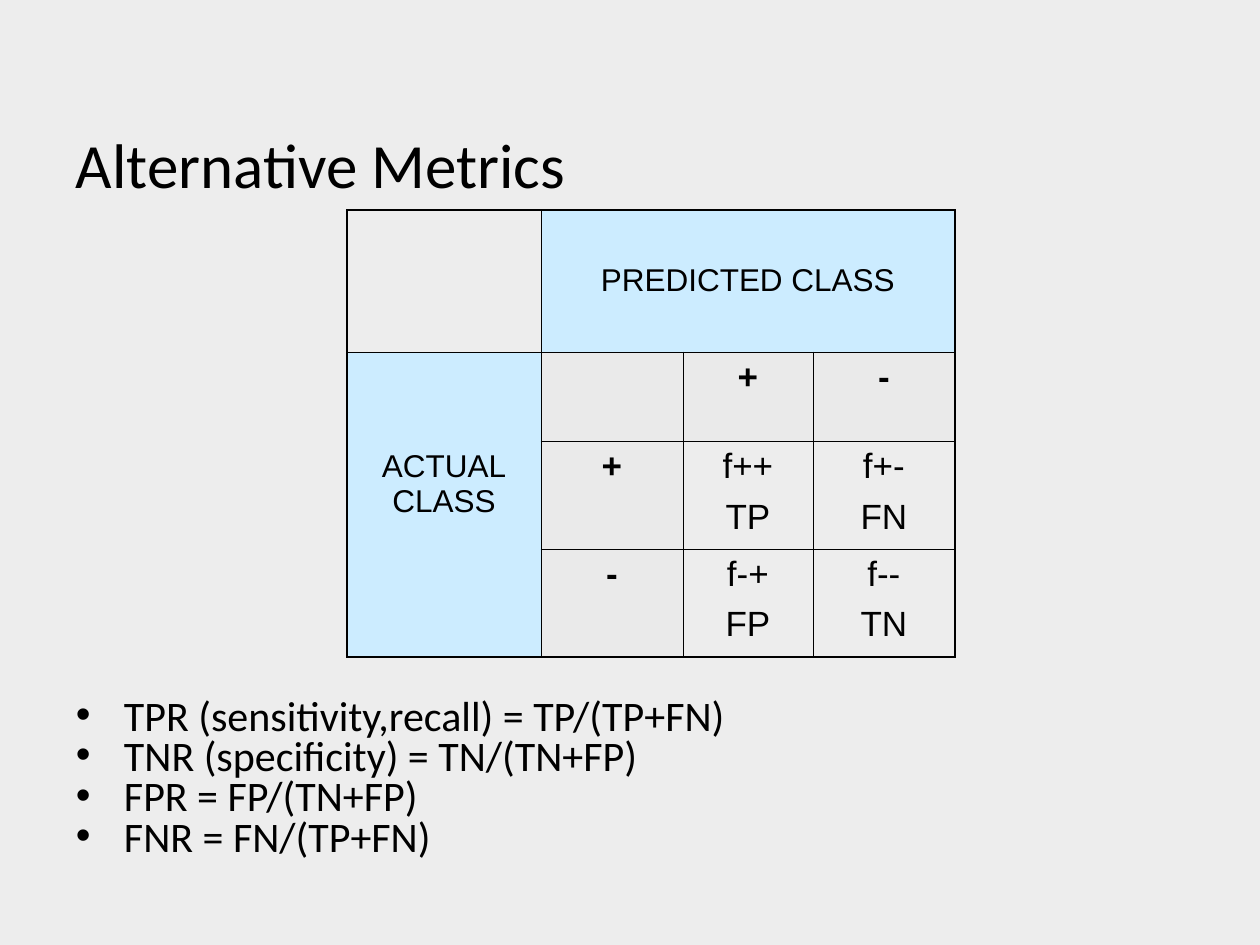
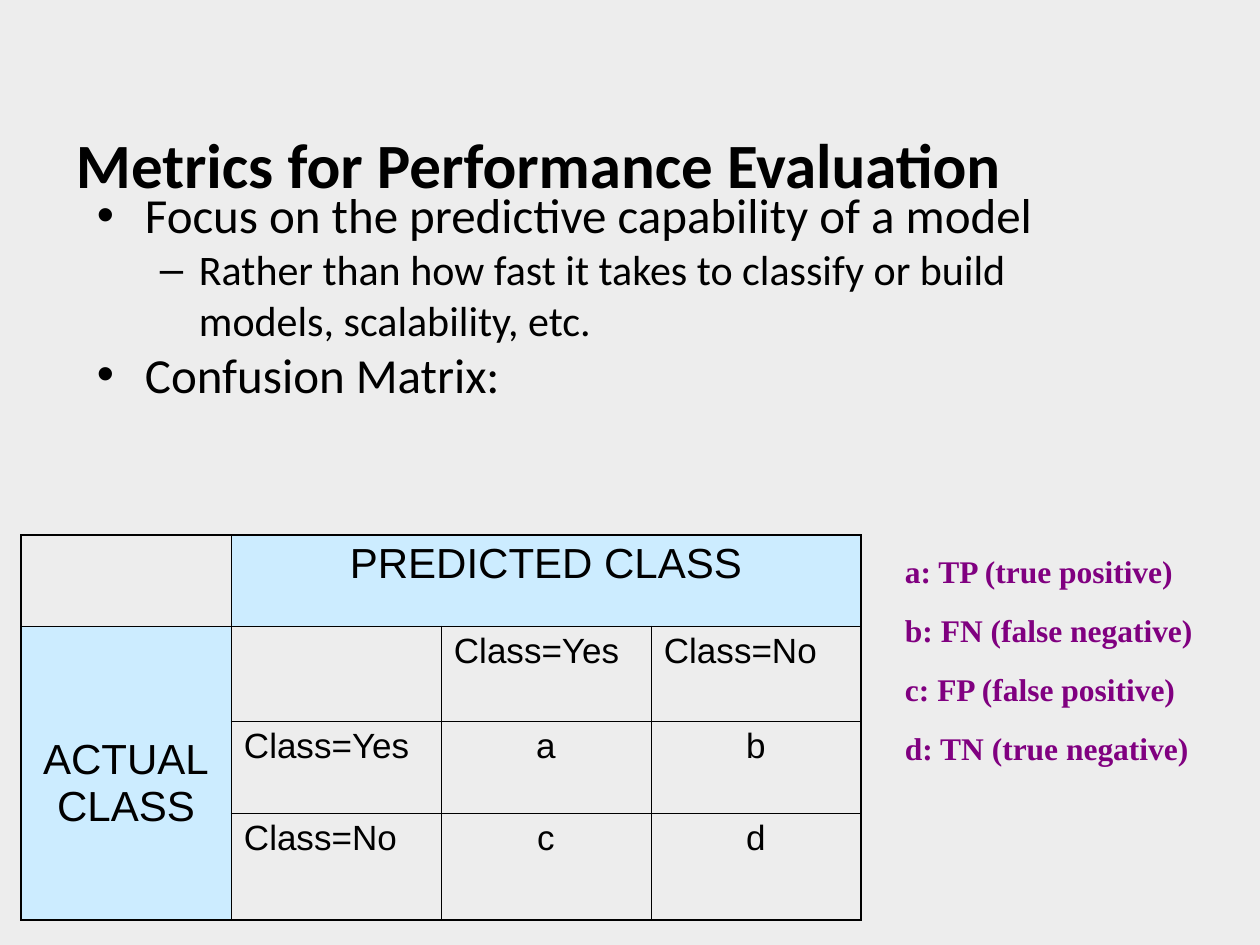
from lxml import etree
from pptx import Presentation
from pptx.dml.color import RGBColor
from pptx.enum.text import MSO_ANCHOR, PP_ALIGN
from pptx.oxml.ns import qn
from pptx.util import Emu, Pt

LEFT, CENTER = PP_ALIGN.LEFT, PP_ALIGN.CENTER
TOP, MIDDLE, BOTTOM = MSO_ANCHOR.TOP, MSO_ANCHOR.MIDDLE, MSO_ANCHOR.BOTTOM

SCALE = 914400 / 126  # EMU in one px
BLACK, PURPLE = "000000", "800080"
PAPER, HEADER, LABEL = "EDEDED", "CCECFF", "EAEAEA"
BODY, MATRIX, LEGEND = "Calibri", "Arial", "Times New Roman"
INSET_X, INSET_Y = 13, 6
TITLE_BOX = (63, 49, 1134, 158)
OUTER_LINE, INNER_LINE = 1.08, 0.45
# bullet, left margin and hanging indent of each list level
LEVELS = [("•", 48, -48), ("–", 102, -39)]


def px(n):
    return Emu(round(n * SCALE))


def rgb(hex_color):
    return RGBColor.from_string(hex_color)


def set_insets(target, top=INSET_Y):
    target.margin_left = target.margin_right = px(INSET_X)
    target.margin_top, target.margin_bottom = px(top), px(INSET_Y)


def add_bullet(p, level):
    char, margin, indent = LEVELS[level]
    pPr = p._p.get_or_add_pPr()
    pPr.set("marL", str(px(margin)))
    pPr.set("indent", str(px(indent)))
    color = etree.SubElement(pPr, qn("a:buClr"))
    etree.SubElement(color, qn("a:srgbClr"), val=BLACK)
    etree.SubElement(pPr, qn("a:buFont"), typeface="Arial")
    etree.SubElement(pPr, qn("a:buChar"), char=char)
    p.level = level


def write(tf, paragraphs, size=18, font=BODY, color=BLACK, bold=False,
          align=LEFT, before=0, after=0, spacing=None, bullets=False):
    """Fill a text frame; items are text or (text, level, size)."""
    for i, item in enumerate(paragraphs):
        text, level, pt = (item, 0, size) if isinstance(item, str) else item
        p = tf.paragraphs[0] if i == 0 else tf.add_paragraph()
        if bullets:
            add_bullet(p, level)
        p.alignment = align
        p.space_before = Pt(before if i else 0)
        p.space_after = Pt(after)
        if spacing:
            p.line_spacing = spacing
        for n, line in enumerate(text.split("\n")):
            if n:
                p.add_line_break()
            r = p.add_run()
            r.text = line
            r.font.name, r.font.size, r.font.bold = font, Pt(pt), bold
            r.font.color.rgb = rgb(color)


def add_text(s, box, paragraphs, anchor=TOP, **fmt):
    tf = s.shapes.add_textbox(*map(px, box)).text_frame
    tf.word_wrap = True
    tf.vertical_anchor = anchor
    set_insets(tf)
    write(tf, paragraphs, **fmt)


def new_slide(prs, title, bold=False):
    s = prs.slides.add_slide(prs.slide_layouts[6])
    add_text(s, TITLE_BOX, [title], anchor=BOTTOM, size=36, bold=bold)
    return s


def set_borders(cell, on_edge):
    """Draw the four sides, heavier where they lie on the table's edge."""
    tcPr = cell._tc.get_or_add_tcPr()
    for i, (side, outer) in enumerate(zip("LRTB", on_edge)):
        width = Pt(OUTER_LINE if outer else INNER_LINE)
        ln = etree.Element(qn("a:ln" + side), w=str(width))
        fill = etree.SubElement(ln, qn("a:solidFill"))
        etree.SubElement(fill, qn("a:srgbClr"), val=BLACK)
        tcPr.insert(i, ln)


def confusion_matrix(s, origin, col_widths, row_heights, labels, counts,
                     head_size, head_anchor, actual_top, label_fill=None,
                     label_bold=False, label_align=CENTER):
    """Place a table of actual against predicted classes at origin."""
    size = sum(col_widths), sum(row_heights)
    frame = s.shapes.add_table(4, 4, *map(px, (*origin, *size)))
    table = frame.table
    table.first_row = table.horz_banding = False
    for col, width in zip(table.columns, col_widths):
        col.width = px(width)
    for row, height in zip(table.rows, row_heights):
        row.height = px(height)
    table.cell(0, 1).merge(table.cell(0, 3))
    table.cell(1, 0).merge(table.cell(3, 0))

    # Fills, insets and borders
    for r in range(4):
        for c in range(4):
            cell = table.cell(r, c)
            if cell.is_spanned:
                continue
            set_insets(cell)
            fill = None
            if (r, c) in ((0, 1), (1, 0)):
                fill = HEADER
            elif 1 in (r, c) and 0 not in (r, c):
                fill = label_fill
            if fill:
                cell.fill.solid()
                cell.fill.fore_color.rgb = rgb(fill)
            else:
                cell.fill.background()
            set_borders(cell, (c == 0, c + cell.span_width == 4,
                               r == 0, r + cell.span_height == 4))

    # Merged headings
    heading = dict(size=head_size, font=MATRIX, align=CENTER, after=4)
    predicted, actual = table.cell(0, 1), table.cell(1, 0)
    predicted.vertical_anchor = head_anchor
    write(predicted.text_frame, ["PREDICTED CLASS"], **heading)
    set_insets(actual, top=actual_top)
    write(actual.text_frame, ["ACTUAL\nCLASS"], **heading)

    # Class labels and counts
    entry = dict(size=20, font=MATRIX, before=2.5, after=4)
    for i, label in enumerate(labels, 2):
        for cell in (table.cell(1, i), table.cell(i, 1)):
            write(cell.text_frame, [label], bold=label_bold,
                  align=label_align, **entry)
    for r, row in enumerate(counts, 2):
        for c, lines in enumerate(row, 2):
            write(table.cell(r, c).text_frame, lines, align=CENTER, **entry)


def alternative_metrics(prs):
    s = new_slide(prs, "Alternative Metrics")
    add_text(s, (63, 693, 1134, 175), [
        "TPR (sensitivity,recall) = TP/(TP+FN)",
        "TNR (specificity) = TN/(TN+FP)",
        "FPR = FP/(TN+FP)",
        "FNR = FN/(TP+FN)",
    ], size=24, spacing=0.8, bullets=True)
    confusion_matrix(
        s, (347, 210), (194, 142, 130, 142), (142, 89, 108, 108),
        labels=("+", "-"),
        counts=[(["f++", "TP"], ["f+-", "FN"]),
                (["f-+", "FP"], ["f--", "TN"])],
        head_size=18, head_anchor=MIDDLE, actual_top=97,
        label_fill=LABEL, label_bold=True)


def performance_evaluation(prs):
    s = new_slide(prs, "Metrics for Performance Evaluation", bold=True)
    add_text(s, (84, 179, 1040, 683), [
        ("Focus on the predictive capability of a model", 0, 28),
        ("Rather than how fast it takes to classify or build models, "
         "scalability, etc.", 1, 24),
        ("Confusion Matrix:", 0, 28),
    ], bullets=True)
    confusion_matrix(
        s, (21, 535), (210,) * 4, (91, 95, 92, 107),
        labels=("Class=Yes", "Class=No"),
        counts=[("a", "b"), ("c", "d")],
        head_size=24, head_anchor=TOP, actual_top=111, label_align=LEFT)
    # Key to the counts
    add_text(s, (892, 546, 368, 223), [
        "a: TP (true positive)",
        "b: FN (false negative)",
        "c: FP (false positive)",
        "d: TN (true negative)",
    ], font=LEGEND, color=PURPLE, bold=True, before=12.2)


def main():
    prs = Presentation()
    prs.slide_width, prs.slide_height = px(1260), px(945)
    background = prs.slide_master.background.fill
    background.solid()
    background.fore_color.rgb = rgb(PAPER)
    alternative_metrics(prs)
    performance_evaluation(prs)
    prs.save("out.pptx")


if __name__ == "__main__":
    main()
